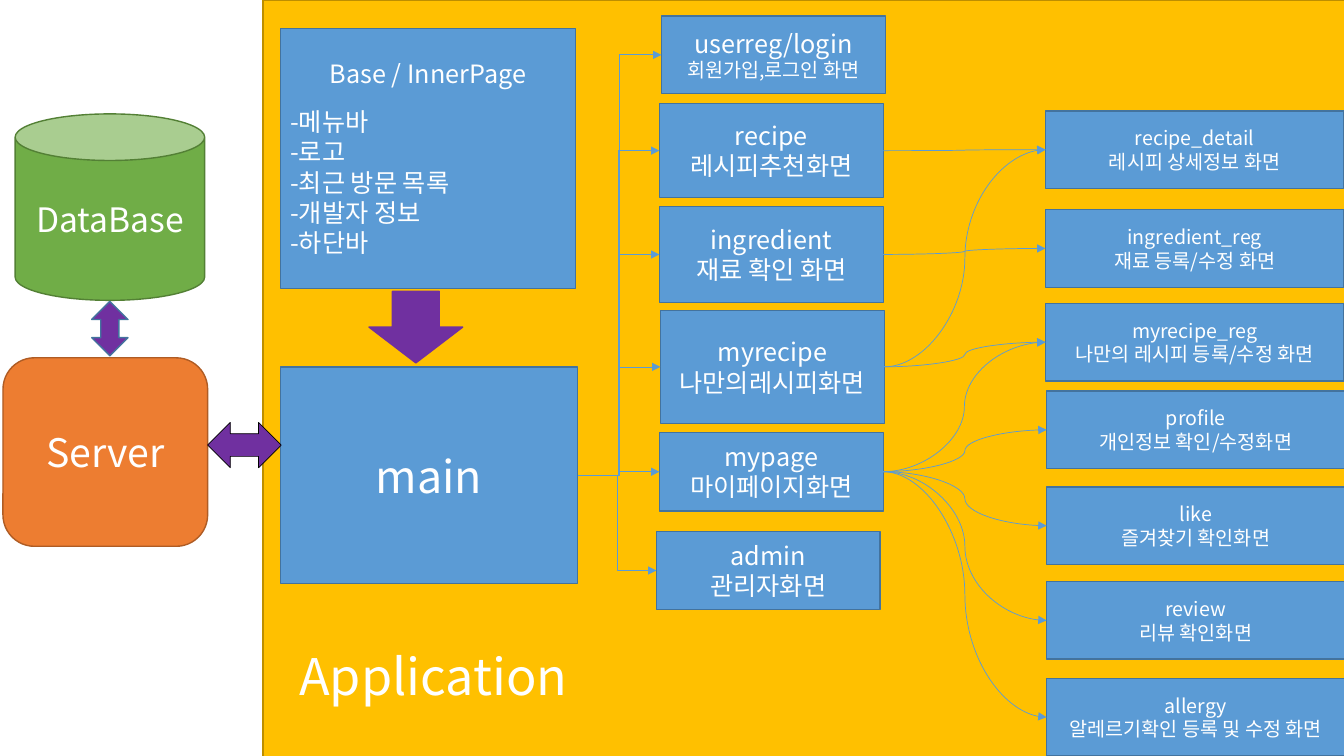
from lxml import etree
from pptx import Presentation
from pptx.dml.color import RGBColor
from pptx.enum.shapes import MSO_CONNECTOR, MSO_SHAPE
from pptx.enum.text import MSO_ANCHOR, PP_ALIGN
from pptx.oxml.ns import qn
from pptx.util import Inches, Pt

FONT = "Noto Sans CJK KR"
WHITE = RGBColor(0xFF, 0xFF, 0xFF)
BLACK = RGBColor(0x00, 0x00, 0x00)
AMBER = RGBColor(0xFF, 0xC0, 0x00)
AMBER_EDGE = RGBColor(0xBD, 0x8E, 0x00)
BLUE = RGBColor(0x5B, 0x9B, 0xD5)
BLUE_EDGE = RGBColor(0x43, 0x73, 0x9E)
GREEN = RGBColor(0x70, 0xAD, 0x47)
GREEN_EDGE = RGBColor(0x53, 0x80, 0x35)
ORANGE = RGBColor(0xED, 0x7D, 0x31)
ORANGE_EDGE = RGBColor(0xAF, 0x5C, 0x24)
PURPLE = RGBColor(0x70, 0x30, 0xA0)

RECT = MSO_SHAPE.RECTANGLE
CENTER, LEFT = PP_ALIGN.CENTER, PP_ALIGN.LEFT
MIDDLE = MSO_ANCHOR.MIDDLE
ELBOW, CURVE = MSO_CONNECTOR.ELBOW, MSO_CONNECTOR.CURVE
LEFT_SITE, RIGHT_SITE = 1, 3

deck = Presentation()
deck.slide_width = Inches(13.33)
deck.slide_height = Inches(7.5)
page = deck.slides.add_slide(deck.slide_layouts[6])


def write(box, lines):
    frame = box.text_frame
    frame.word_wrap = True
    for index, (text, size, align) in enumerate(lines):
        para = frame.add_paragraph() if index else frame.paragraphs[0]
        para.alignment = align
        span = para.add_run()
        span.text = text
        for name, value in {"size": Pt(size), "name": FONT}.items():
            setattr(span.font, name, value)
        span.font.color.rgb = WHITE
        etree.SubElement(span.font._element, qn("a:ea"), typeface=FONT)


def add_box(kind, place, fill, edge, lines=(), weight=1):
    box = page.shapes.add_shape(kind, *map(Inches, place))
    box.shadow.inherit = False
    box.fill.solid()
    box.fill.fore_color.rgb = fill
    box.line.color.rgb = edge
    box.line.width = Pt(weight)
    box.text_frame.vertical_anchor = MIDDLE
    write(box, lines)
    return box


add_box(RECT, (2.61, 0, 11.47, 7.77), AMBER, AMBER_EDGE)

base_lines = [("Base / InnerPage", 18, CENTER)]
for item in ("메뉴바", "로고", "최근 방문 목록", "개발자 정보", "하단바"):
    base_lines.append((f"-{item}", 18, LEFT))
base = add_box(RECT, (2.78, 0.28, 2.93, 2.58), BLUE, BLUE_EDGE, base_lines)
base.text_frame.paragraphs[0].space_after = Pt(12.5)

boxes = {"main": add_box(RECT, (2.78, 3.64, 2.95, 2.15), BLUE, BLUE_EDGE, [("main", 32, CENTER)])}

screens = [
    ("userreg/login", "회원가입,로그인 화면", 14, 6.56, 0.16, 0.77),
    ("recipe", "레시피추천화면", 18, 6.54, 1.03, 0.93),
    ("ingredient", "재료 확인 화면", 18, 6.54, 2.05, 0.95),
    ("myrecipe", "나만의레시피화면", 18, 6.55, 3.08, 1.12),
    ("mypage", "마이페이지화면", 18, 6.54, 4.29, 0.78),
    ("admin", "관리자화면", 18, 6.51, 5.27, 0.78),
]
for name, caption, size, left, top, height in screens:
    lines = [(name, 18, CENTER), (caption, size, CENTER)]
    boxes[name] = add_box(RECT, (left, top, 2.22, height), BLUE, BLUE_EDGE, lines)

details = [
    ("recipe_detail", "레시피 상세정보 화면", 10.37, 1.1),
    ("ingredient_reg", "재료 등록/수정 화면", 10.37, 2.08),
    ("myrecipe_reg", "나만의 레시피 등록/수정 화면", 10.37, 3.01),
    ("profile", "개인정보 확인/수정화면", 10.38, 3.88),
    ("like", "즐겨찾기 확인화면", 10.38, 4.83),
    ("review", "리뷰 확인화면", 10.38, 5.77),
    ("allergy", "알레르기확인 등록 및 수정 화면", 10.38, 6.73),
]
for name, caption, left, top in details:
    lines = [(name, 14, CENTER), (caption, 14, CENTER)]
    boxes[name] = add_box(RECT, (left, top, 2.96, 0.77), BLUE, BLUE_EDGE, lines)

links = [("main", screen[0], ELBOW) for screen in screens]
links += [
    ("recipe", "recipe_detail", CURVE),
    ("ingredient", "ingredient_reg", CURVE),
    ("myrecipe", "recipe_detail", CURVE),
    ("myrecipe", "myrecipe_reg", CURVE),
]
links += [("mypage", detail[0], CURVE) for detail in details[2:]]
for source, target, kind in links:
    link = page.shapes.add_connector(kind, 0, 0, 0, 0)
    link.begin_connect(boxes[source], RIGHT_SITE)
    link.end_connect(boxes[target], LEFT_SITE)
    link.line.color.rgb = BLUE
    link.line.width = Pt(0.5)
    etree.SubElement(link.line._get_or_add_ln(), qn("a:tailEnd"), type="triangle")
    etree.SubElement(link._element.spPr, qn("a:effectLst"))

add_box(MSO_SHAPE.CAN, (0.15, 1.13, 1.88, 1.85), GREEN, GREEN_EDGE, [("DataBase", 24, CENTER)])
add_box(MSO_SHAPE.ROUNDED_RECTANGLE, (0.03, 3.55, 2.03, 1.87), ORANGE, ORANGE_EDGE,
        [("Server", 28, CENTER)])
add_box(MSO_SHAPE.DOWN_ARROW, (3.66, 2.89, 0.93, 0.71), PURPLE, PURPLE)
add_box(MSO_SHAPE.UP_DOWN_ARROW, (0.91, 2.99, 0.36, 0.54), PURPLE, BLUE_EDGE)
add_box(MSO_SHAPE.LEFT_RIGHT_ARROW, (2.06, 4.19, 0.73, 0.45), PURPLE, BLACK, weight=0.5)

label = page.shapes.add_textbox(Inches(2.87), Inches(6.35), Inches(3.18), Inches(0.71))
write(label, [("Application", 36, LEFT)])

deck.save("out.pptx")
